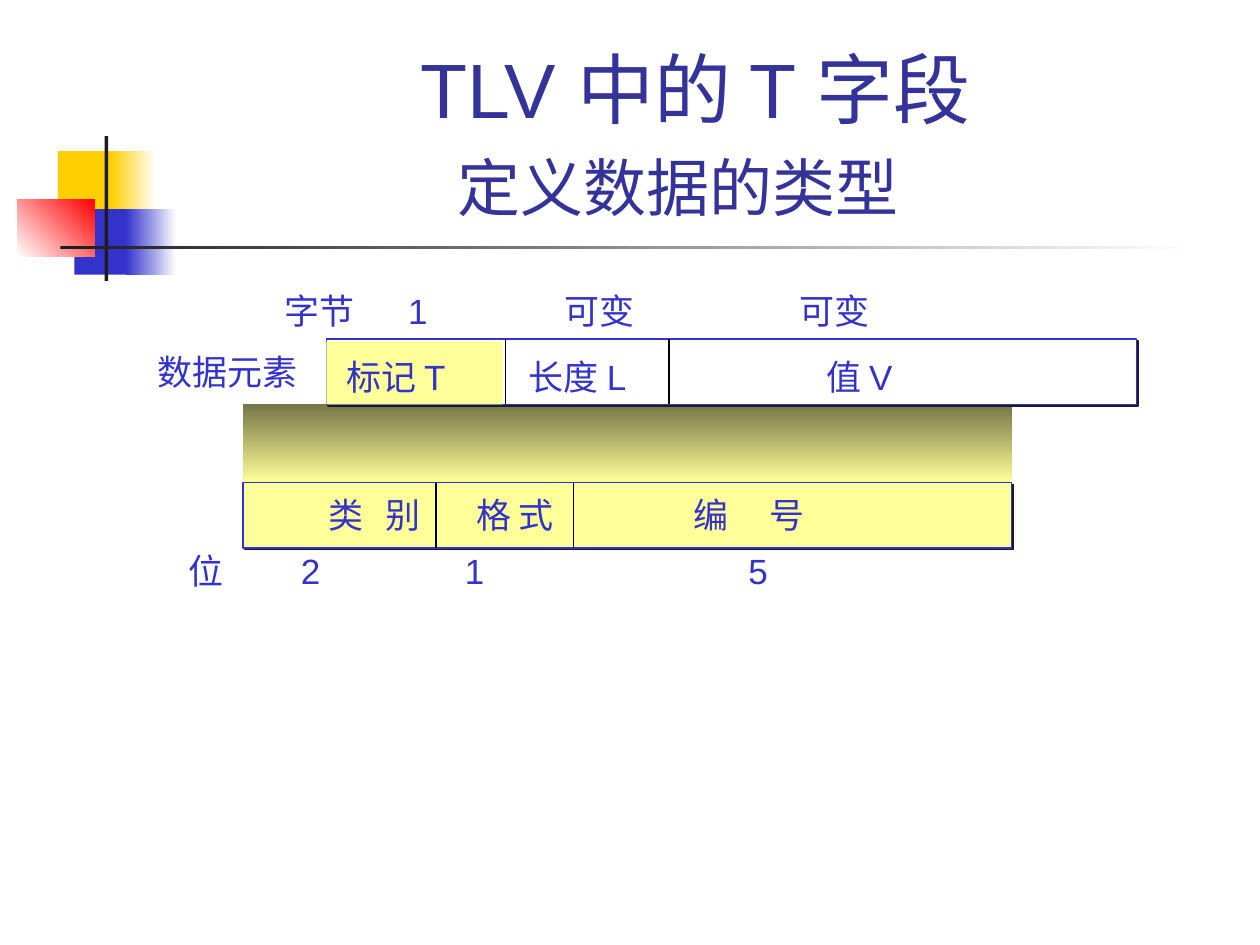
from lxml import etree
from pptx import Presentation
from pptx.dml.color import RGBColor
from pptx.enum.shapes import MSO_CONNECTOR, MSO_SHAPE
from pptx.enum.text import MSO_ANCHOR, MSO_AUTO_SIZE, PP_ALIGN
from pptx.oxml.ns import qn
from pptx.util import Inches, Pt

RECTANGLE = MSO_SHAPE.RECTANGLE
STRAIGHT = MSO_CONNECTOR.STRAIGHT
BOTTOM, TOP = MSO_ANCHOR.BOTTOM, MSO_ANCHOR.TOP
CENTER, LEFT = PP_ALIGN.CENTER, PP_ALIGN.LEFT
NO_AUTOFIT = MSO_AUTO_SIZE.NONE

WHITE = RGBColor(0xFF, 0xFF, 0xFF)
BLACK = RGBColor(0, 0, 0)
INK = RGBColor(0x1C, 0x1C, 0x1C)
BLUE = RGBColor(0x33, 0x33, 0xCC)
NAVY = RGBColor(0x33, 0x33, 0x99)
GOLD = RGBColor(0xFF, 0xCF, 0x01)
RED = RGBColor(0xFF, 0, 0)
YELLOW = RGBColor(0xFF, 0xFF, 0x99)
OLIVE = RGBColor(0x76, 0x76, 0x47)

LABEL_FONT = {"name": "Arial", "size": Pt(20)}
LABEL_HEIGHT = 0.44
INSET = 0.1


def set_attributes(target, values):
    for name, value in values.items():
        setattr(target, name, value)


def add_rectangle(slide, box, colors, angle=0, line=None):
    shape = slide.shapes.add_shape(RECTANGLE, *map(Inches, box))
    shape.shadow.inherit = False
    if len(colors) == 1:
        shape.fill.solid()
        shape.fill.fore_color.rgb = colors[0]
    else:
        shape.fill.gradient()
        shape.fill.gradient_angle = angle
        for stop, color, position in zip(shape.fill.gradient_stops, colors, (0, 1)):
            set_attributes(stop, {"position": position})
            stop.color.rgb = color
    if line is None:
        shape.line.fill.background()
    else:
        shape.line.color.rgb = line
        shape.line.width = Pt(0.75)
    return shape


def add_drop_shadow(shape):
    effects = shape._element.spPr.find(qn("a:effectLst"))
    shadow = etree.SubElement(effects, qn("a:outerShdw"), blurRad="0",
                              dist=str(Pt(1.4)), dir=str(45 * 60000),
                              algn="ctr", rotWithShape="0")
    etree.SubElement(shadow, qn("a:srgbClr"), val=str(INK))


def add_divider(slide, x, top, height):
    line = slide.shapes.add_connector(
        STRAIGHT, Inches(x), Inches(top), Inches(x), Inches(top + height))
    line.line.color.rgb = BLACK
    line.line.width = Pt(0.75)
    etree.SubElement(line._element.spPr, qn("a:effectLst"))


def add_labels(slide, box, labels, starts=()):
    text_box = slide.shapes.add_textbox(*map(Inches, box))
    frame = text_box.text_frame
    set_attributes(frame, {"word_wrap": True, "vertical_anchor": TOP})
    paragraph = frame.paragraphs[0]
    paragraph.text = "\t".join(labels)
    paragraph.alignment = LEFT
    if starts:
        tabs = etree.SubElement(paragraph._p.get_or_add_pPr(), qn("a:tabLst"))
        for start in starts:
            position = Inches(round(start - box[0] - INSET, 2))
            etree.SubElement(tabs, qn("a:tab"), pos=str(position), algn="l")
    set_attributes(paragraph.font, LABEL_FONT)
    paragraph.font.color.rgb = BLUE


def add_ornament(slide, left, top):
    parts = [
        ((0.32, 0.12, 0.48, 0.52), [GOLD], 0),
        ((0.74, 0.12, 0.36, 0.52), [GOLD, WHITE], 0),
        ((0.45, 0.58, 0.46, 0.52), [BLUE], 0),
        ((0.86, 0.58, 0.4, 0.52), [BLUE, WHITE], 0),
        ((0, 0.5, 0.61, 0.46), [WHITE, RED], 45),
        ((0.69, 0, 0.03, 1.15), [INK], 0),
        ((0.34, 0.87, 9, 0.03), [INK, WHITE], 0),
    ]
    for (x, y, width, height), colors, angle in parts:
        add_rectangle(slide, (left + x, top + y, width, height), colors, angle)


def add_title(slide, box):
    title = slide.shapes.title
    set_attributes(title, dict(zip(("left", "top", "width", "height"), map(Inches, box))))
    frame = title.text_frame
    frame.text = "TLV 中的 T 字段\n定义数据的类型"
    set_attributes(frame, {"auto_size": NO_AUTOFIT, "word_wrap": True,
                           "vertical_anchor": BOTTOM})
    for paragraph, size, spacing in zip(frame.paragraphs, (44, 36), (1.0, 1.2)):
        set_attributes(paragraph, {"alignment": CENTER, "line_spacing": spacing})
        set_attributes(paragraph.font, {"name": "Arial", "size": Pt(size)})
        paragraph.font.color.rgb = NAVY
    frame.paragraphs[1]._p.get_or_add_pPr().set("marR", str(Inches(0.27)))


def add_data_element(slide, left, top, width, height):
    add_labels(slide, (left - 0.43, top - LABEL_HEIGHT, 4.95, LABEL_HEIGHT),
               ["字节", "1", "可变", "可变"], [3.24, 4.48, 6.35])
    add_drop_shadow(add_rectangle(slide, (left, top, width, height), [WHITE], line=BLUE))
    add_rectangle(slide, (left, top + 0.02, 1.4, height - 0.02), [YELLOW])
    for x in (4.01, 5.31):
        add_divider(slide, x, top, height)
    add_labels(slide, (left + 0.06, top + 0.08, 4.9, LABEL_HEIGHT),
               ["标记 T", "长度 L", "值 V"], [4.2, 6.56])
    add_labels(slide, (left - 1.44, top + 0.04, 1.96, LABEL_HEIGHT), ["数据元素"])


def add_tag_field(slide, left, top, width, height):
    add_drop_shadow(add_rectangle(slide, (left, top, width, height), [YELLOW], line=BLUE))
    for x in (3.46, 4.55):
        add_divider(slide, x, top, height)
    add_labels(slide, (left + 0.58, top + 0.04, 4.2, LABEL_HEIGHT),
               ["类", "别", "格 式", "编", "号"], [3.06, 3.78, 5.51, 6.11])
    add_labels(slide, (left - 0.53, top + 0.48, 4.95, LABEL_HEIGHT),
               ["位", "2", "1", "5"], [2.39, 3.69, 5.94])


def main():
    presentation = Presentation()
    presentation.slide_width = Inches(10)
    presentation.slide_height = Inches(7.5)
    slide = presentation.slides.add_slide(presentation.slide_layouts[5])
    add_ornament(slide, 0.14, 1.08)
    add_title(slide, (1.26, 0.23, 8.52, 1.6))
    add_rectangle(slide, (1.93, 3.21, 6.1, 0.62), [OLIVE, YELLOW], 270)
    add_data_element(slide, 2.59, 2.69, 6.43, 0.52)
    add_tag_field(slide, 1.93, 3.83, 6.1, 0.52)
    presentation.save("out.pptx")


if __name__ == "__main__":
    main()
